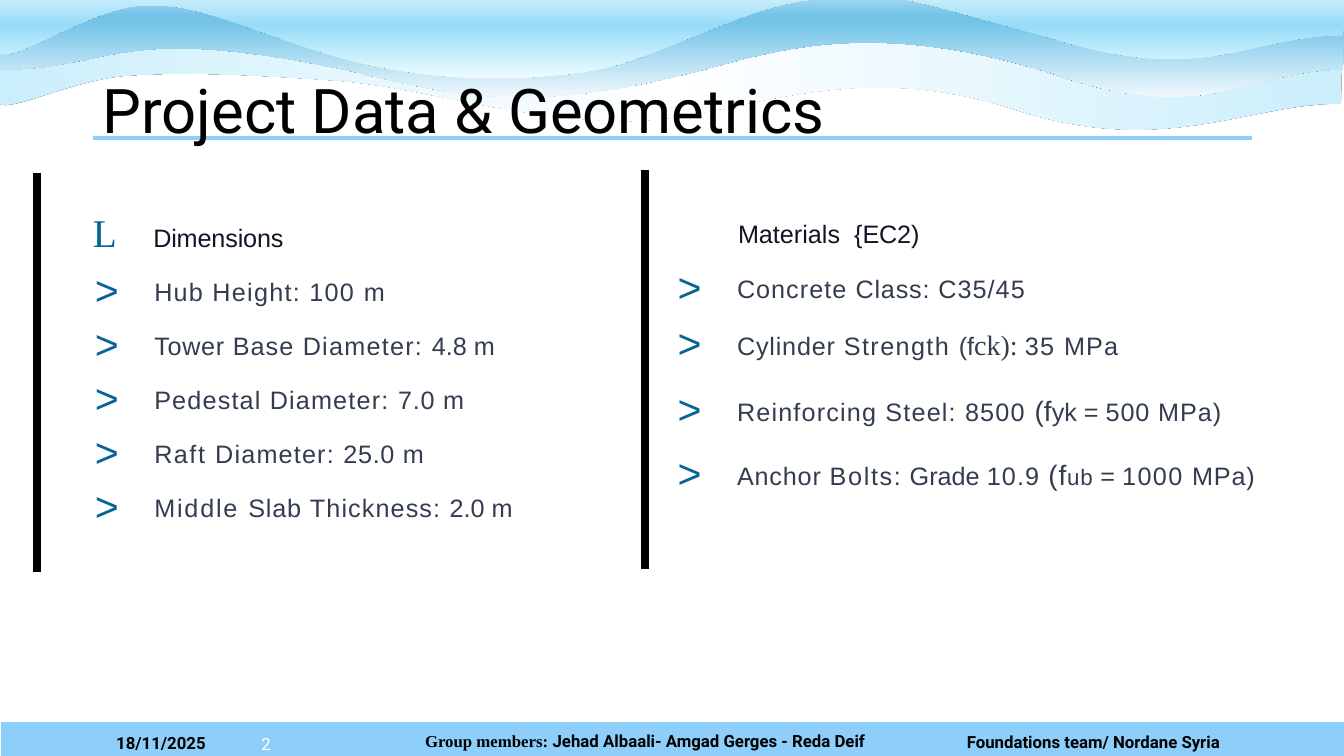
from lxml import etree
from pptx import Presentation
from pptx import util as u
from pptx.dml.color import RGBColor
from pptx.enum import shapes, text
from pptx.oxml import ns

BLACK, WHITE, SKY, NAVY = "000000", "FFFFFF", "8ECEFA", "0F1524"
SLATE, TEAL = "333D4F", "086497"
SERIF = "Times New Roman"
UNITS = 1000

WAVES = [
    dict(start=(13.3, 1.03), size=(13.36, 0.98),
         curves=[(12.37, 1.02, 11.52, 1.59, 9.99, 1.06), (8.27, 0.54, 7.21, 1.24, 6.1, 1.2),
                 (4.99, 1.16, 4.21, 0.87, 3.35, 0.8), (2.49, 0.74, 1.83, 0.71, 1.27, 0.75),
                 (0.71, 0.79, 0.14, 1.11, -0.02, 1.03)],
         top=[(-0.04, 0.3), (3.13, 0.31), (6.52, 0.34), (9.41, 0.32), (13.32, 0.34)],
         stops=[(0, "CAEEFB"), (50, WHITE), (100, "CAEEFB")], angle=0),
    dict(start=(13.32, 0.69), size=(13.33, 0.98),
         curves=[(12.39, 0.69, 11.96, 1.27, 10.44, 0.73), (8.71, 0.19, 7.73, 0.49, 7.06, 0.67),
                 (5.28, 1.14, 4.59, 0.97, 3.46, 0.7), (1.13, 0.21, 1.15, 0.69, 0, 0.69)],
         top=[(0.01, -0.01), (3.13, 0), (6.54, -0.02), (9.46, -0.01), (13.33, 0.03)],
         stops=[(0, "A2D8F0"), (17, "74C4E9"), (26, "74C4E9"), (100, "F0F8FD")], angle=90),
    dict(start=(13.32, 0.35), size=(13.36, 1.06),
         curves=[(12.39, 0.35, 11.96, 0.86, 10.44, 0.38), (8.72, -0.09, 8.91, -0.07, 8.13, -0.01),
                 (7.35, 0.04, 6.53, 0.62, 5.76, 0.72), (4.98, 0.82, 4.24, 0.79, 3.47, 0.6),
                 (2.58, 0.36, 2.07, 0.05, 1.5, 0.05), (0.92, 0.04, 0.22, 0.61, -0.03, 0.53)],
         top=[(0.01, -0.27), (3.13, -0.26), (6.54, -0.28), (9.46, -0.27), (13.33, -0.24)],
         stops=[(0, WHITE), (50, "96DCF8"), (100, "EFFCFF")], angle=90),
]

BARS = [((0.37, 5.68), (0.37, 1.72), (0.26, 3.96)), ((6.4, 5.65), (6.4, 1.69), (0.24, 3.96))]

TITLE = "Project Data & Geometrics"
FOOTERS = [
    ((2.13, 7.18, 1.02, 0.4), "2", "CENTER", WHITE, False),
    ((0.92, 7.17, 1.22, 0.4), "18/11/2025", "RIGHT", BLACK, True),
    ((9.27, 7.16, 3.15, 0.4), "Foundations team/ Nordane Syria", "CENTER", BLACK, True),
]
MEMBERS = [("Group members: ", SERIF), ("Jehad Albaali- Amgad Gerges - Reda Deif", "Roboto")]

COLUMNS = [
    dict(box=(0.92, 1.85, 6.09, 3.37), inset=0.22, indent=0.61, heading_tab=0.6,
         heading=[("L\t", 0.8, 28, SERIF, TEAL), ("Dimensions", -0.1)],
         items=[
             (14.6, [("Hub Height: 100 ", 0.9), ("m", 0.6)]),
             (17, [("Tower ", 0.5), ("Base ", 0.8), ("Diameter: ", 0.9), ("4.8 ", 0), ("m", 0.5)]),
             (17, [("Pedestal Diameter: ", 0.85), ("7.0 m", 0.5)]),
             (17, [("Raft ", 1.1), ("Diameter: ", 0.85), ("25.0 m", 0.5)]),
             (17, [("Middle ", 1.3), ("Slab ", 0.6), ("Thickness: ", 0.8), ("2.0 ", 0), ("m", 0.5)]),
         ]),
    dict(box=(6.69, 2, 7.14, 2.89), inset=0.17, indent=0.62, heading_tab=0.63,
         heading=[("\tMaterials", 0), (" ", 5), ("{EC2)", -0.1)],
         items=[
             (17.4, [("Concrete ", 0.75), ("Class: ", 0.6), ("C35/45", 0.75)]),
             (17, [("Cylinder ", 0.6), ("Strength ", 1), ("(f", 0), ("ck): ", 0, 20, SERIF),
                   ("35 ", 1), ("MPa", 0.8)]),
             (23.2, [("Reinforcing Steel: 8500 ", 0.85), ("(f", 0, 20), ("yk = ", 0),
                     ("500 ", 0.6), ("MPa)", 0.7)]),
             (21.9, [("Anchor ", 0.6), ("Bolts:", 1.2), (" Grade ", 0), ("10.9 ", 0.8),
                     ("(f", 0.6, 20), ("ub ", 0.5, 16), ("= ", 0), ("1000 ", 1), ("MPa)", 0.6)]),
         ]),
]


def color(value):
    return RGBColor.from_string(value)


def child(parent, tag, **attributes):
    return etree.SubElement(parent, ns.qn(tag), {k: str(v) for k, v in attributes.items()})


def style(font, size, name, value, bold=None):
    font.size, font.name, font.bold = u.Pt(size), name, bold
    font.color.rgb = color(value)


def add_outline(slide, points, size, close):
    scaled = [(round(x * UNITS), round(y * UNITS)) for x, y in points]
    builder = slide.shapes.build_freeform(*scaled[0], scale=u.Inches(1) / UNITS)
    builder.add_line_segments(scaled[1:], close=close)
    shape = builder.convert_to_shape()
    shape.width, shape.height = (u.Inches(n) for n in size)
    outline = next(shape._element.iter(ns.qn("a:path")))
    outline.set("w", str(round(size[0] * UNITS)))
    outline.set("h", str(round(size[1] * UNITS)))
    return shape, outline


def add_wave(slide, start, size, curves, top, stops, angle):
    anchors = [start, *(curve[4:] for curve in curves), *top]
    shape, outline = add_outline(slide, anchors, size, True)
    left, upper = (min(values) for values in zip(*anchors))
    for segment, curve in zip(outline.findall(ns.qn("a:lnTo")), curves):
        bend = etree.Element(ns.qn("a:cubicBezTo"))
        for x, y in zip(curve[::2], curve[1::2]):
            child(bend, "a:pt", x=round((x - left) * UNITS), y=round((y - upper) * UNITS))
        outline.replace(segment, bend)
    shape.line.fill.background()
    shape.fill.gradient()
    shape.fill.gradient_angle = -angle % 360
    stop_list = next(shape._element.iter(ns.qn("a:gsLst")))
    for stop in list(stop_list):
        stop_list.remove(stop)
    for position, value in stops:
        child(child(stop_list, "a:gs", pos=position * 1000), "a:srgbClr", val=value)
    effects = child(shape._element.spPr, "a:effectLst")
    child(child(effects, "a:outerShdw", blurRad=0, dist=0, dir=0), "a:srgbClr", val=BLACK)


def add_bar(slide, start, end, size):
    shape, _ = add_outline(slide, [start, end], size, False)
    shape.shadow.inherit = False
    shape.fill.background()
    shape.line.color.rgb = color(BLACK)
    shape.line.width = u.Pt(5.57)


def add_box(slide, box, middle=True):
    frame = slide.shapes.add_textbox(*(u.Inches(n) for n in box)).text_frame
    frame.word_wrap = True
    frame.vertical_anchor = text.MSO_ANCHOR.MIDDLE if middle else text.MSO_ANCHOR.TOP
    return frame


def add_runs(paragraph, runs, value):
    for words, spacing, *special in runs:
        size, name, run_color = (*special, *(18, "Arial", value)[len(special):])
        run = paragraph.add_run()
        run.text = words
        style(run.font, size, name, run_color)
        run.font._element.set("spc", str(round(spacing * 100)))


def add_tab(properties, position):
    child(child(properties, "a:tabLst"), "a:tab", pos=u.Inches(position), algn="l")


def add_column(slide, box, inset, indent, heading_tab, heading, items):
    frame = add_box(slide, box, middle=False)
    frame.margin_left = frame.margin_right = frame.margin_bottom = 0
    frame.margin_top = u.Inches(inset)
    paragraph = frame.paragraphs[0]
    add_tab(paragraph._p.get_or_add_pPr(), heading_tab)
    add_runs(paragraph, heading, NAVY)
    for space, runs in items:
        paragraph = frame.add_paragraph()
        properties = paragraph._p.get_or_add_pPr()
        properties.set("marL", str(u.Inches(indent)))
        properties.set("indent", str(u.Inches(-0.59)))
        child(child(properties, "a:buClr"), "a:srgbClr", val=TEAL)
        child(properties, "a:buSzPct", val=163000)
        child(properties, "a:buFont", typeface="Arial")
        child(properties, "a:buChar", char=">")
        add_tab(properties, indent)
        paragraph.space_before = u.Pt(space)
        add_runs(paragraph, runs, SLATE)


def main():
    presentation = Presentation()
    presentation.slide_width, presentation.slide_height = u.Inches(13.33), u.Inches(7.5)
    slide = presentation.slides.add_slide(presentation.slide_layouts[6])

    band = slide.shapes.add_shape(
        shapes.MSO_SHAPE.RECTANGLE, *(u.Inches(n) for n in (0, 7.15, 13.35, 0.4)))
    band.shadow.inherit = False
    band.fill.solid()
    band.fill.fore_color.rgb = color(SKY)
    band.line.color.rgb = color(WHITE)
    band.line.width = u.Pt(1.5)

    for wave in WAVES:
        add_wave(slide, **wave)

    rule = slide.shapes.add_connector(
        shapes.MSO_CONNECTOR.STRAIGHT, *(u.Inches(n) for n in (0.92, 1.37, 12.42, 1.37)))
    rule.line.color.rgb = color(SKY)
    rule.line.width = u.Pt(3)
    child(rule._element.spPr, "a:effectLst")

    paragraph = add_box(slide, (0.92, 0.4, 11.5, 1.45)).paragraphs[0]
    paragraph.text = TITLE
    paragraph.line_spacing = 0.9
    style(paragraph.font, 44, "Roboto", BLACK)

    for box, words, alignment, value, bold in FOOTERS:
        paragraph = add_box(slide, box).paragraphs[0]
        paragraph.text = words
        paragraph.alignment = text.PP_ALIGN[alignment]
        style(paragraph.font, 12, "Roboto", value, bold)

    paragraph = add_box(slide, (3.07, 7.2, 6.66, 0.3), middle=False).paragraphs[0]
    paragraph.alignment = text.PP_ALIGN.CENTER
    for words, name in MEMBERS:
        run = paragraph.add_run()
        run.text = words
        style(run.font, 12, name, BLACK, True)

    for bar in BARS:
        add_bar(slide, *bar)
    for column in COLUMNS:
        add_column(slide, **column)
    presentation.save("out.pptx")


if __name__ == "__main__":
    main()
